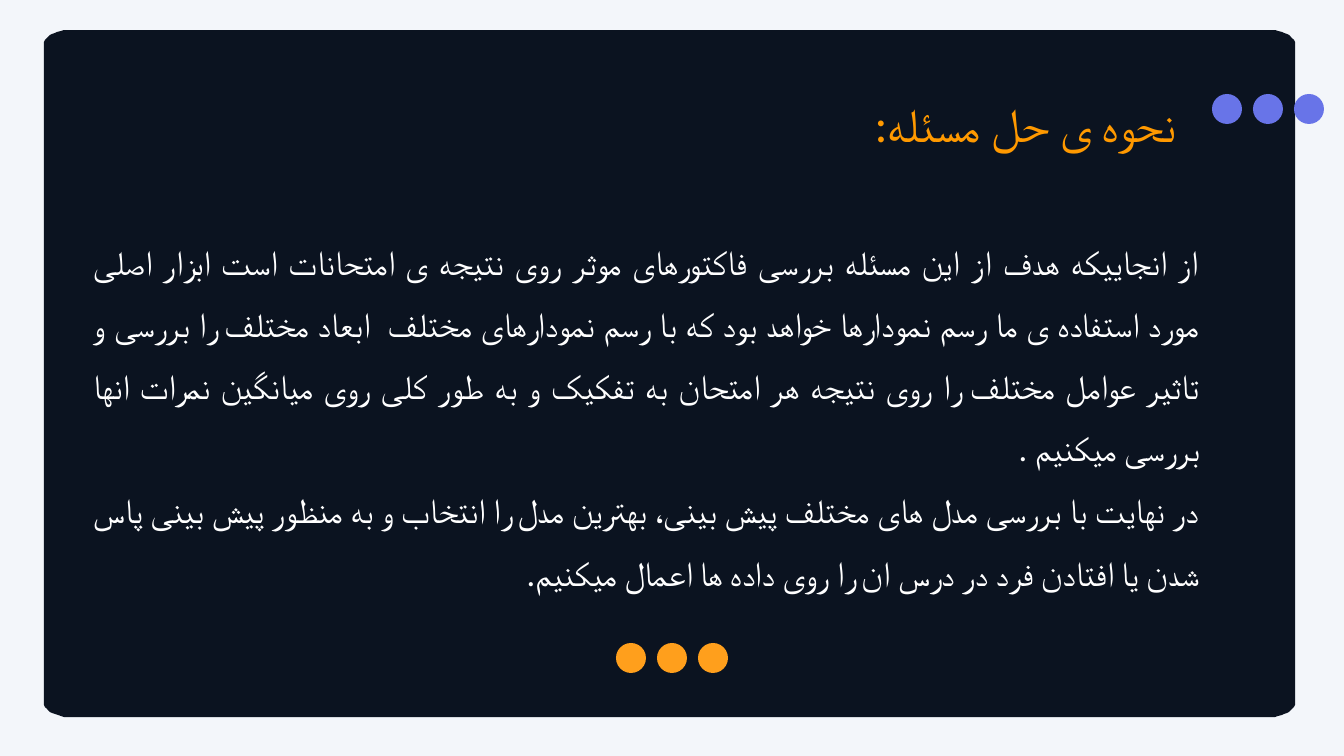
import math

from lxml import etree
from pptx import Presentation
from pptx import util as u
from pptx.dml.color import RGBColor
from pptx.enum import shapes, text
from pptx.oxml.ns import qn

# Content
TITLE = "نحوه ی حل مسئله:"
BODY = [
    "از انجاییکه هدف از این مسئله بررسی فاکتورهای موثر روی نتیجه ی امتحانات است ابزار اصلی "
    "مورد استفاده ی ما رسم نمودارها خواهد بود که با رسم نمودارهای مختلف  ابعاد مختلف را بررسی و "
    "تاثیر عوامل مختلف را روی نتیجه هر امتحان به تفکیک و به طور کلی روی میانگین نمرات انها "
    "بررسی میکنیم .",
    "در نهایت با بررسی مدل های مختلف پیش بینی، بهترین مدل را انتخاب و به منظور پیش بینی "
    "پاس شدن یا افتادن فرد در درس ان را روی داده ها اعمال میکنیم.",
]
FONT = "Calibri"
BACKGROUND, PANEL_FILL = "F3F6FA", "0B1320"
TITLE_COLOUR, BODY_COLOUR = "FF9900", "FFFFFF"

# Layout in px
SLIDE = (1344, 756)
PANEL = (44, 30, 1251, 687)
PANEL_CORNER = (27, 14)
TEXT_BOX = (93, 85, 1107, 491)
TITLE_INDENT = 24
DOT_SIZE, DOT_STEP, DOTS_PER_ROW = 30, 41, 3
DOT_ROWS = [(1212, 94, "6874E8"), (616, 643, "FF9F1C")]  # left, top, colour
SCALE = u.Inches(20) / SLIDE[0]


def px(length):
    return u.Emu(round(length * SCALE))


def colour(hex_code):
    return RGBColor.from_string(hex_code)


def paint(shape, hex_code):
    shape.fill.solid()
    shape.fill.fore_color.rgb = colour(hex_code)
    shape.line.fill.background()
    shape.shadow.inherit = False


def panel_outline(left, top, width, height):
    """Points of a rectangle with elliptical corners, clockwise."""
    rx, ry = PANEL_CORNER
    near_x, far_x = left + rx, left + width - rx
    near_y, far_y = top + ry, top + height - ry
    centres = [(far_x, far_y), (near_x, far_y), (near_x, near_y), (far_x, near_y)]
    points = []
    for quarter, (cx, cy) in enumerate(centres):
        for step in range(13):
            angle = math.radians(quarter * 90 + step * 7.5)
            points.append((cx + rx * math.cos(angle), cy + ry * math.sin(angle)))
    return points


def format_paragraph(paragraph, size, hex_code, spacing):
    paragraph.alignment = text.PP_ALIGN.JUSTIFY
    paragraph.line_spacing = spacing
    paragraph._p.get_or_add_pPr().set("rtl", "1")
    for run in paragraph.runs:
        run.font.size = u.Pt(size)
        run.font.name = FONT
        run.font.color.rgb = colour(hex_code)
        complex_script = etree.SubElement(run.font._element, qn("a:cs"))
        complex_script.set("typeface", FONT)


prs = Presentation()
prs.slide_width, prs.slide_height = map(px, SLIDE)
slide = prs.slides.add_slide(prs.slide_layouts[6])
slide.background.fill.solid()
slide.background.fill.fore_color.rgb = colour(BACKGROUND)

# Dark panel
outline = panel_outline(*PANEL)
builder = slide.shapes.build_freeform(*outline[0], scale=SCALE)
builder.add_line_segments(outline[1:], close=True)
paint(builder.convert_to_shape(), PANEL_FILL)

# Title and body
frame = slide.shapes.add_textbox(*map(px, TEXT_BOX)).text_frame
frame.word_wrap = True
frame.margin_left = frame.margin_top = frame.margin_right = frame.margin_bottom = 0
title = frame.paragraphs[0]
title.text = TITLE
format_paragraph(title, 52, TITLE_COLOUR, 1.15)
title.space_after = u.Pt(73)
title._p.pPr.set("indent", str(px(TITLE_INDENT)))
for sentence in BODY:
    paragraph = frame.add_paragraph()
    paragraph.text = sentence
    format_paragraph(paragraph, 37, BODY_COLOUR, 1.5)

# Dot rows
for left, top, hex_code in DOT_ROWS:
    for column in range(DOTS_PER_ROW):
        box = (left + column * DOT_STEP, top, DOT_SIZE, DOT_SIZE)
        dot = slide.shapes.add_shape(shapes.MSO_SHAPE.OVAL, *map(px, box))
        paint(dot, hex_code)

prs.save("out.pptx")
